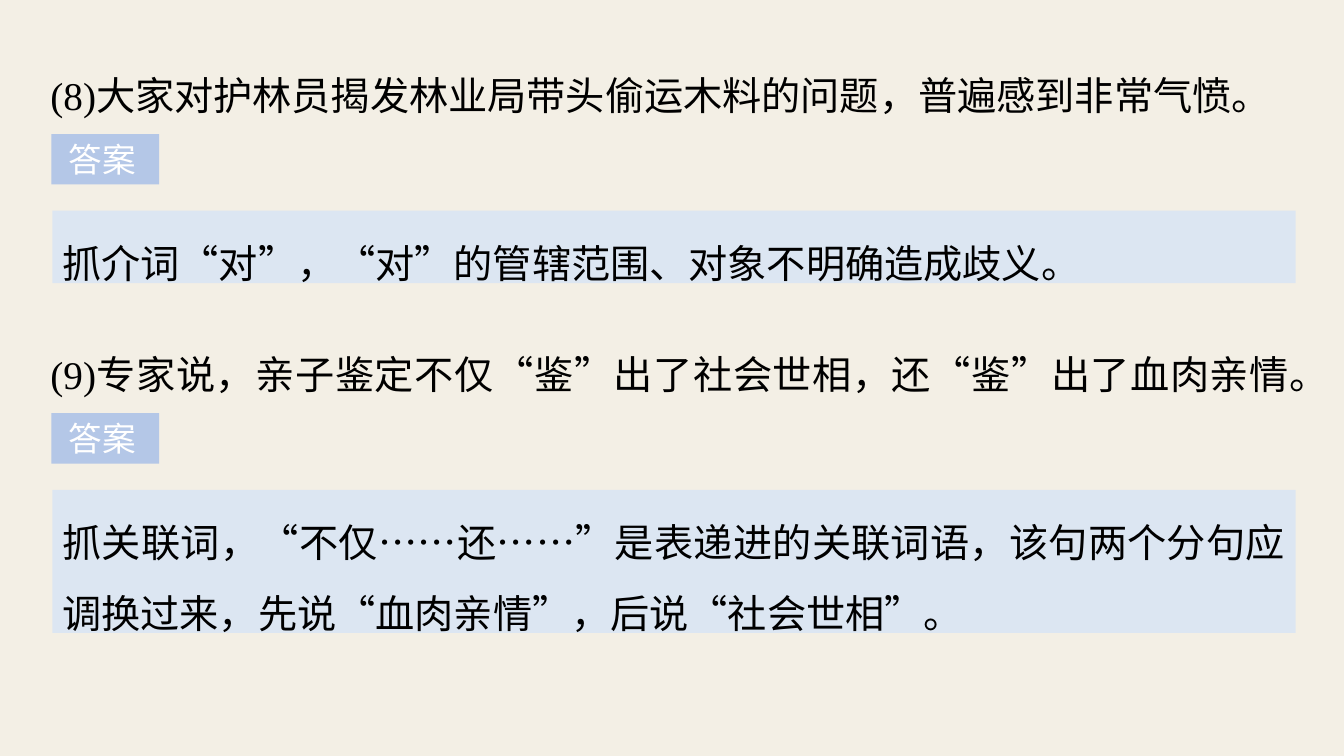
from itertools import groupby

from lxml.etree import SubElement
from pptx import Presentation
from pptx.dml.color import RGBColor
from pptx.enum.shapes import MSO_SHAPE
from pptx.enum.text import MSO_ANCHOR, MSO_AUTO_SIZE, PP_ALIGN
from pptx.oxml.ns import qn
from pptx.util import Inches, Pt

# Content: question, answer, height of the answer box
LABEL = " 答案"
ITEMS = [
    ("(8)大家对护林员揭发林业局带头偷运木料的问题，普遍感到非常气愤。",
     "抓介词“对”，“对”的管辖范围、对象不明确造成歧义。", 0.72),
    ("(9)专家说，亲子鉴定不仅“鉴”出了社会世相，还“鉴”出了血肉亲情。",
     "抓关联词，“不仅……还……”是表递进的关联词语，该句两个分句应调换过来，"
     "先说“血肉亲情”，后说“社会世相”。", 1.42),
]

THEME = {
    "background": "F3EFE5", "label": "B4C7E7", "answer": "DCE6F2",
    "text": "000000", "label_text": "FFFFFF",
    "text_size": 28, "label_size": 24,
    "text_font": "Times New Roman", "label_font": "Arial",
    "cjk_font": "Noto Sans CJK SC",
}

# Layout: offsets are measured from the top of each question
FIRST_TOP, GAP = 0.4, 0.36
LABEL_OFFSET, ANSWER_OFFSET = 0.93, 1.69


def add_run(p, text, font, size, color):
    r = p.add_run()
    r.text = text
    r.font.name, r.font.size = font, Pt(size)
    r.font.color.rgb = RGBColor.from_string(color)
    SubElement(r.font._element, qn("a:ea")).set("typeface", THEME["cjk_font"])


def write_body(p, text):
    """Quotation marks and ellipses take the CJK font."""
    p.alignment, p.line_spacing = PP_ALIGN.JUSTIFY, 1.5
    for is_mark, chars in groupby(text, lambda c: c in "“”…"):
        font = THEME["cjk_font"] if is_mark else THEME["text_font"]
        add_run(p, "".join(chars), font, THEME["text_size"], THEME["text"])


def set_frame(sp):
    tf = sp.text_frame
    tf.word_wrap, tf.vertical_anchor = True, MSO_ANCHOR.TOP
    tf.auto_size = MSO_AUTO_SIZE.SHAPE_TO_FIT_TEXT
    return tf


def add_panel(slide, left, top, width, height, fill):
    sp = slide.shapes.add_shape(MSO_SHAPE.RECTANGLE, Inches(left), Inches(top),
                                Inches(width), Inches(height))
    sp.shadow.inherit = False
    sp.fill.solid()
    sp.fill.fore_color.rgb = RGBColor.from_string(fill)
    sp.line.fill.background()
    p = set_frame(sp).paragraphs[0]
    p.alignment = PP_ALIGN.LEFT
    return p


def add_question(slide, top, text):
    sp = slide.shapes.add_textbox(Inches(0.37), Inches(top),
                                  Inches(12.55), Inches(0.75))
    tf = set_frame(sp)
    tf.margin_left = tf.margin_right = Inches(0.13)
    tf.margin_top = tf.margin_bottom = Inches(0.07)
    write_body(tf.paragraphs[0], text)


def main():
    prs = Presentation()
    prs.slide_width, prs.slide_height = Inches(13.33), Inches(7.5)
    slide = prs.slides.add_slide(prs.slide_layouts[6])
    slide.background.fill.solid()
    slide.background.fill.fore_color.rgb = RGBColor.from_string(THEME["background"])

    # Each item: question, label, answer
    top = FIRST_TOP
    for question, answer, height in ITEMS:
        add_question(slide, top, question)
        p = add_panel(slide, 0.51, top + LABEL_OFFSET, 1.07, 0.5, THEME["label"])
        add_run(p, LABEL, THEME["label_font"], THEME["label_size"],
                THEME["label_text"])
        p = add_panel(slide, 0.52, top + ANSWER_OFFSET, 12.33, height,
                      THEME["answer"])
        write_body(p, answer)
        top += ANSWER_OFFSET + height + GAP

    prs.save("out.pptx")


if __name__ == "__main__":
    main()
